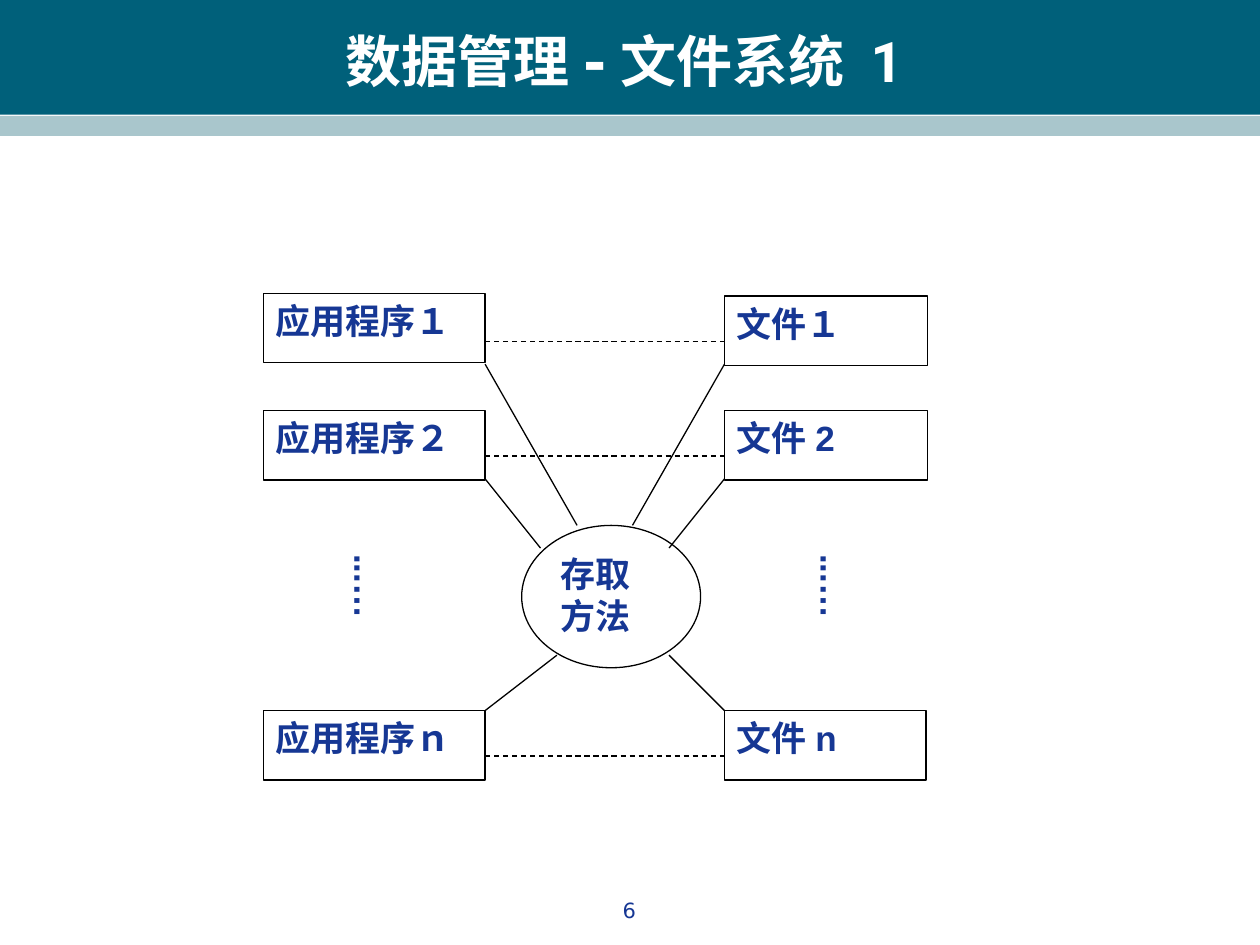
from pptx import Presentation
from pptx.dml.color import RGBColor
from pptx.enum.dml import MSO_LINE
from pptx.enum.shapes import MSO_CONNECTOR, MSO_SHAPE
from pptx.enum.text import MSO_ANCHOR, PP_ALIGN
from pptx.oxml.ns import qn
from pptx.util import Inches, Pt
from lxml import etree

RECT, OVAL = MSO_SHAPE.RECTANGLE, MSO_SHAPE.OVAL
STRAIGHT, DASH = MSO_CONNECTOR.STRAIGHT, MSO_LINE.DASH
TOP, MIDDLE = MSO_ANCHOR.TOP, MSO_ANCHOR.MIDDLE
LEFT, CENTER, JUSTIFY = PP_ALIGN.LEFT, PP_ALIGN.CENTER, PP_ALIGN.JUSTIFY
COLORS = {"teal": "00607A", "mist": "A9C6CC", "white": "FFFFFF",
          "black": "000000", "navy": "163794"}


def color(name):
    """Return the named colour."""
    return RGBColor.from_string(COLORS[name])


def write(frame, *parts, size=20, fonts=("Arial",), ink="navy", bold=True,
          align=LEFT, anchor=TOP, before=0):
    """Write one paragraph, with one run for each part and font."""
    frame.word_wrap = True
    frame.vertical_anchor = anchor
    para = frame.paragraphs[0]
    para.alignment = align
    para.space_before = Pt(before)
    for part, font in zip(parts, fonts):
        run = para.add_run()
        run.text = part
        run.font.name = font
        run.font.size = Pt(size)
        run.font.bold = bold
        run.font.color.rgb = color(ink)


class Board:
    """Hold the slide and the style of its elements."""

    def __init__(self, slide, edge="black", width=0.75):
        """Keep the slide and the line style."""
        self.shapes = slide.shapes
        self.edge = edge
        self.width = width

    def stroke(self, line):
        """Apply the line style."""
        line.color.rgb = color(self.edge)
        line.width = Pt(self.width)

    def band(self, top, height, fill):
        """Add a full-width band."""
        shape = self.shapes.add_shape(RECT, 0, Inches(top), Inches(10), Inches(height))
        shape.shadow.inherit = False
        shape.fill.solid()
        shape.fill.fore_color.rgb = color(fill)
        shape.line.fill.background()

    def node(self, kind, box, text, **style):
        """Add an outlined shape with text."""
        shape = self.shapes.add_shape(kind, *map(Inches, box))
        shape.shadow.inherit = False
        shape.fill.solid()
        shape.fill.fore_color.rgb = color("white")
        self.stroke(shape.line)
        write(shape.text_frame, text, **style)

    def label(self, box, *parts, upright=False, **style):
        """Add a text box, set vertically when upright."""
        frame = self.shapes.add_textbox(*map(Inches, box)).text_frame
        write(frame, *parts, **style)
        if upright:
            frame._txBody.bodyPr.set("vert", "eaVert")

    def link(self, start, end, dash=False):
        """Add a straight line."""
        line = self.shapes.add_connector(STRAIGHT, *map(Inches, (*start, *end)))
        self.stroke(line.line)
        if dash:
            line.line.dash_style = DASH
        etree.SubElement(line._element.spPr, qn("a:effectLst"))


def main():
    """Build the slide and save it."""
    deck = Presentation()
    deck.slide_width, deck.slide_height = Inches(10), Inches(7.5)
    board = Board(deck.slides.add_slide(deck.slide_layouts[6]))

    board.band(0, 0.91, "teal")
    board.band(0.92, 0.16, "mist")
    board.label((0.33, 0.17, 9.25, 0.62), "数据管理-", "文件系统 1", size=32,
                fonts=("DejaVu Sans", "Roboto"), ink="white",
                align=CENTER, anchor=MIDDLE)
    board.label((3.83, 7.07, 2.33, 0.35), "6", size=12, fonts=("DejaVu Sans",),
                bold=False, align=CENTER)

    left, right, high = 3.85, 5.75, 0.55
    rows = [("１", "１", 2.33, 2.35, 1.61, 2.71, LEFT),
            ("２", "2", 3.26, 3.26, 1.61, 3.62, LEFT),
            ("ｎ", "n", 5.64, 5.64, 1.6, 6, JUSTIFY)]
    for app, file, top, peak, wide, mid, align in rows:
        board.node(RECT, (2.09, top, 1.76, high), "应用程序" + app, align=align)
        board.node(RECT, (right, peak, wide, high), "文件" + file)
        board.link((left, mid), (right, mid), dash=True)

    board.node(OVAL, (4.14, 4.17, 1.42, 1.13), "存取方法")
    spokes = [(2.89, 4.58, 5.02, 4.17), (3.8, 4.29, 5.31, 4.35),
              (5.64, 4.42, 5.31, 5.2)]
    for top, west, east, end in spokes:
        board.link((left, top), (west, end))
        board.link((right, top), (east, end))

    for x, tall in ((2.58, 0.97), (6.28, 1.05)):
        board.label((x, 4.3, 0.56, tall), "...…", upright=True, before=10)

    deck.save("out.pptx")


if __name__ == "__main__":
    main()
